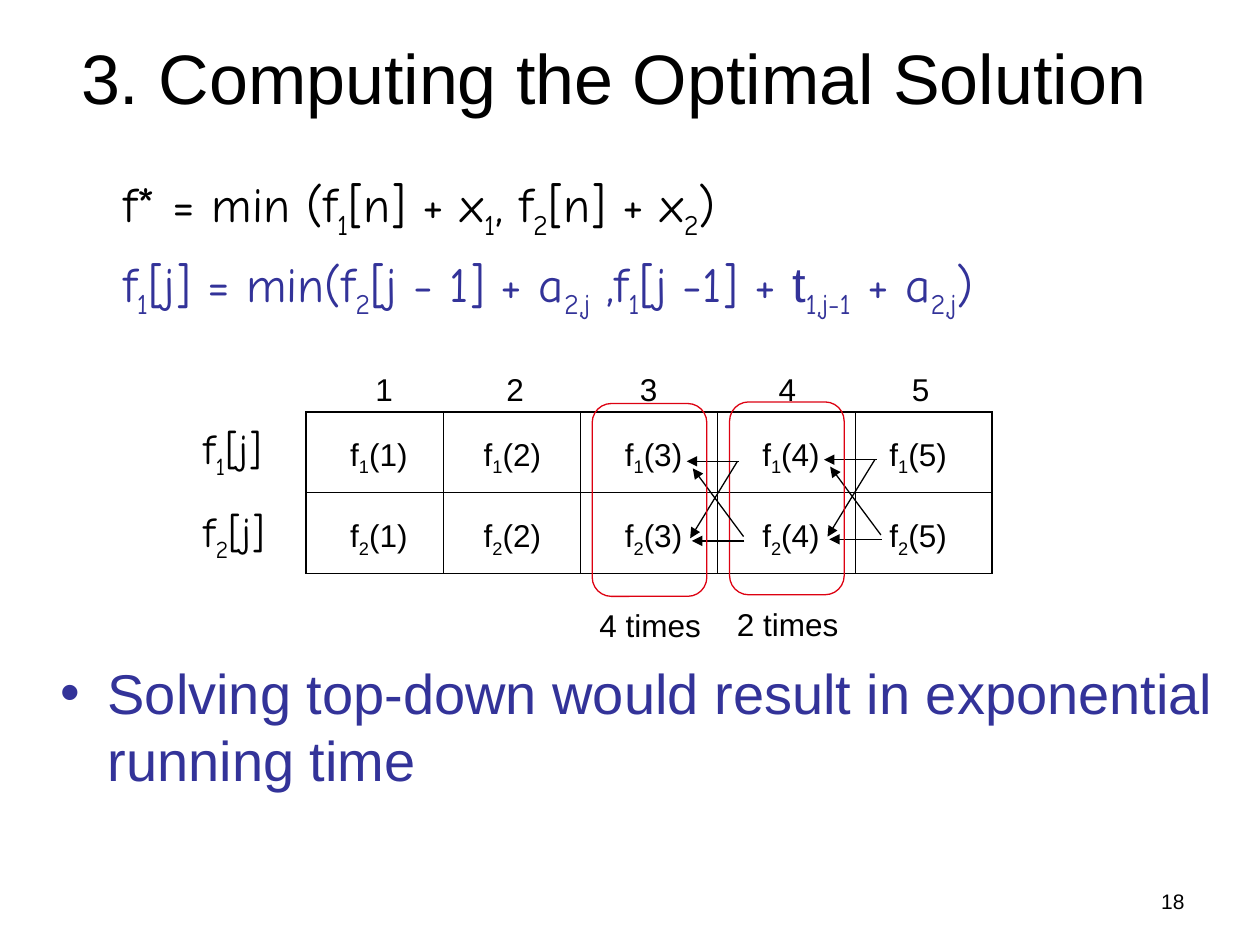
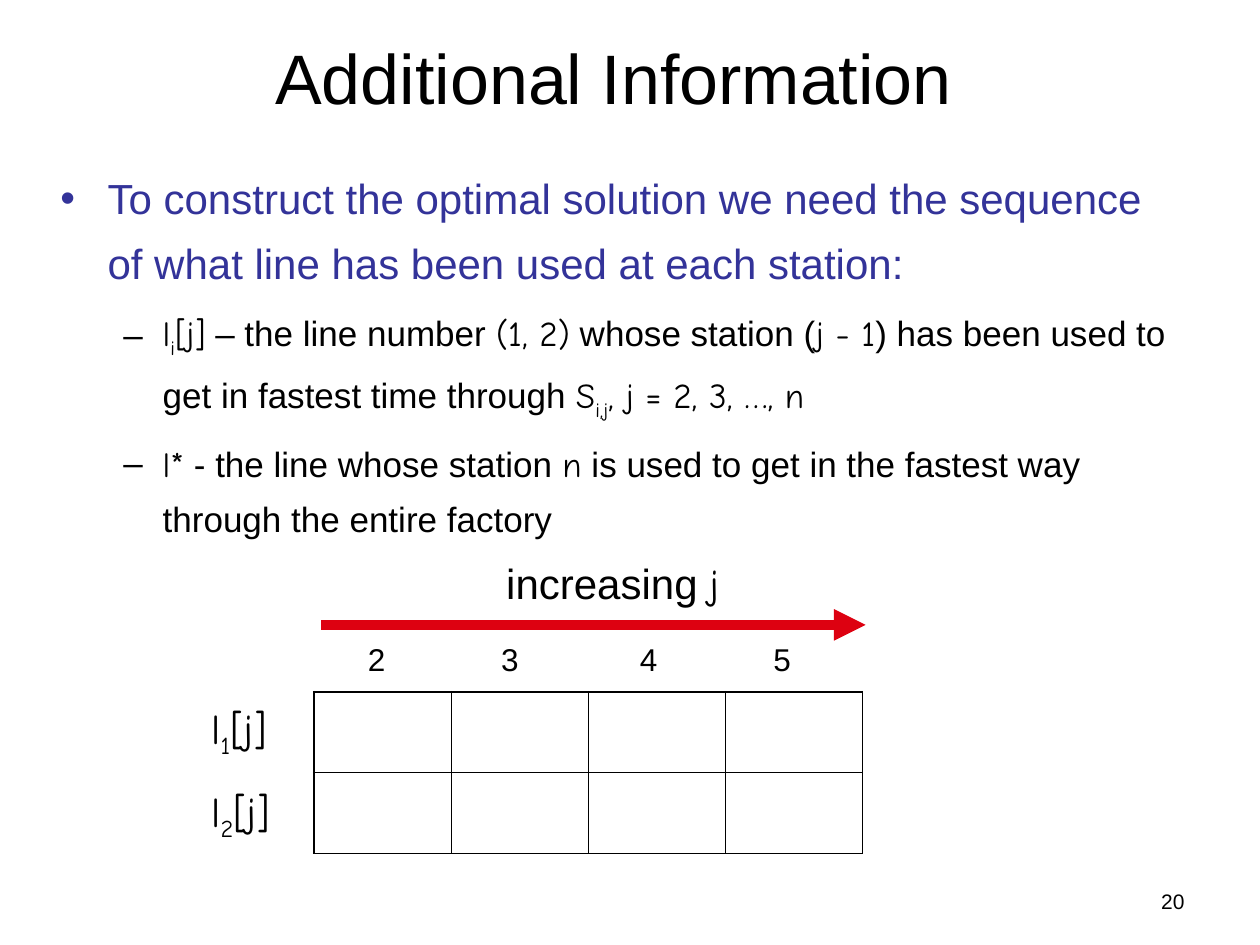
from dataclasses import dataclass

from lxml.etree import SubElement
from pptx import Presentation
from pptx.dml.color import RGBColor
from pptx.enum.shapes import MSO_CONNECTOR, MSO_SHAPE
from pptx.enum.text import MSO_ANCHOR, MSO_AUTO_SIZE, PP_ALIGN
from pptx.oxml.ns import qn
from pptx.util import Pt


@dataclass(frozen=True)
class Theme:
    ink: str = "000000"
    accent: str = "333399"
    highlight: str = "DD0111"
    text_font: str = "Arial"
    math_font: str = "Comic Neue"
    title: int = 40
    statement: int = 32
    formula: int = 28
    lead: int = 24
    detail: int = 20
    label: int = 18
    footer: int = 12
    thin: float = 0.45
    frame: float = 1.08
    arrow: float = 0.75
    thick_arrow: float = 6


THEME = Theme()
TEXT, MATH = THEME.text_font, THEME.math_font
TITLE_BOX = (26.6, 8, 648, 71.3)
NUMBER_BOX = (516.2, 504, 167.8, 25.2)
COLUMN_WIDTH, ROW_HEIGHT = 78.4, 46.2
ROW_LABEL_LEFT, ROW_LABEL_TOP, ROW_LABEL_PITCH = -65.5, 2.5, 47.5
VALUE_OFFSETS = (18, 94.3, 175, 253.5, 326.2)
HIGHLIGHT_SIZE = (65.5, 110.2)
DEPENDENCY_ARROWS = (
    ((84, 33), (54, 33)),
    ((83, 33), (56, 77)),
    ((86.5, 76), (57.5, 37)),
    ((87, 78.5), (57, 78.5)),
)


def points(values):
    return [Pt(value) for value in values]


def colour(code):
    return RGBColor.from_string(code)


def style_font(font, name, size, code):
    font.name = name
    font.size = Pt(size)
    font.color.rgb = colour(code)


def write_runs(paragraph, segments, size, code=THEME.ink):
    """Text between bars in a segment is set as a subscript."""
    for name, marked_text in segments:
        for index, text in enumerate(marked_text.split("|")):
            if not text:
                continue
            run = paragraph.add_run()
            run.text = text
            style_font(run.font, name, size, code)
            if index % 2:
                run._r.get_or_add_rPr().set("baseline", "-25000")


def add_bullet(paragraph, character, code, left, hanging):
    properties = paragraph._p.get_or_add_pPr()
    properties.set("marL", str(Pt(left)))
    properties.set("indent", str(-Pt(hanging)))
    bullet_colour = SubElement(properties, qn("a:buClr"))
    SubElement(bullet_colour, qn("a:srgbClr"), val=code)
    SubElement(properties, qn("a:buFont"), typeface=TEXT)
    SubElement(properties, qn("a:buChar"), char=character)


def add_text_frame(slide, box):
    text_frame = slide.shapes.add_textbox(*points(box)).text_frame
    text_frame.word_wrap = True
    return text_frame


def add_label(slide, box, segments, size):
    write_runs(add_text_frame(slide, box).paragraphs[0], segments, size)


def add_arrow(slide, start, end, code, width):
    connector = slide.shapes.add_connector(
        MSO_CONNECTOR.STRAIGHT, *points(start + end)
    )
    connector.line.color.rgb = colour(code)
    connector.line.width = Pt(width)
    SubElement(connector.line._get_or_add_ln(), qn("a:tailEnd"), type="triangle")
    SubElement(connector._element.spPr, qn("a:effectLst"))


def add_titled_slide(presentation, title_text, number):
    slide = presentation.slides.add_slide(presentation.slide_layouts[5])
    title = slide.shapes.title
    title.left, title.top, title.width, title.height = points(TITLE_BOX)
    text_frame = title.text_frame
    text_frame.text = title_text
    text_frame.auto_size = MSO_AUTO_SIZE.NONE
    text_frame.vertical_anchor = MSO_ANCHOR.MIDDLE
    paragraph = text_frame.paragraphs[0]
    paragraph.alignment = PP_ALIGN.CENTER
    style_font(paragraph.runs[0].font, TEXT, THEME.title, THEME.ink)

    paragraph = add_text_frame(slide, NUMBER_BOX).paragraphs[0]
    paragraph.alignment = PP_ALIGN.RIGHT
    write_runs(paragraph, [(TEXT, str(number))], THEME.footer)
    return slide


def set_borders(cell, widths):
    properties = cell._tc.get_or_add_tcPr()
    for side, width in widths.items():
        line = SubElement(properties, qn(f"a:ln{side}"), w=str(Pt(width)))
        fill = SubElement(line, qn("a:solidFill"))
        SubElement(fill, qn("a:srgbClr"), val=THEME.ink)
    cell.fill.background()


def add_index_table(slide, origin, letter, headings, heading_offsets, heading_rise):
    left, top = origin
    columns, rows = len(headings), 2
    box = (left, top, columns * COLUMN_WIDTH, rows * ROW_HEIGHT)
    table = slide.shapes.add_table(rows, columns, *points(box)).table
    table.first_row = table.horz_banding = False
    for column in table.columns:
        column.width = Pt(COLUMN_WIDTH)
    for row_index, row in enumerate(table.rows):
        row.height = Pt(ROW_HEIGHT)
        for column_index, cell in enumerate(row.cells):
            outer = {
                "L": column_index == 0,
                "R": column_index == columns - 1,
                "T": row_index == 0,
                "B": row_index == rows - 1,
            }
            set_borders(cell, {
                side: THEME.frame if is_outer else THEME.thin
                for side, is_outer in outer.items()
            })
        label_box = (
            left + ROW_LABEL_LEFT,
            top + ROW_LABEL_TOP + row_index * ROW_LABEL_PITCH,
            58, 40.3,
        )
        add_label(slide, label_box, [(MATH, f"{letter}|{row_index + 1}|[j]")], THEME.lead)
    for heading, offset in zip(headings, heading_offsets):
        heading_box = (left + offset, top - heading_rise, 28, 28.8)
        add_label(slide, heading_box, [(TEXT, str(heading))], THEME.label)


def add_values(slide, origin):
    left, top = origin
    for station, offset in enumerate(VALUE_OFFSETS, 1):
        for line in (1, 2):
            box = (left + offset, top + 9.4 + (line - 1) * 46.8, 54, 31.7)
            add_label(slide, box, [(TEXT, f"f|{line}|({station})")], THEME.label)


def add_dependencies(slide, origin, count_text):
    left, top = origin
    for start, end in DEPENDENCY_ARROWS:
        add_arrow(
            slide,
            (left + start[0], top + start[1]),
            (left + end[0], top + end[1]),
            THEME.ink, THEME.arrow,
        )
    outline = slide.shapes.add_shape(
        MSO_SHAPE.ROUNDED_RECTANGLE, *points(origin + HIGHLIGHT_SIZE)
    )
    outline.shadow.inherit = False
    outline.fill.background()
    outline.line.color.rgb = colour(THEME.highlight)
    outline.line.width = Pt(THEME.arrow)
    add_label(slide, (left - 2.9, top + 112.3, 78, 28.8), [(TEXT, count_text)], THEME.label)


def add_formulas(slide, box):
    text_frame = add_text_frame(slide, box)
    write_runs(
        text_frame.paragraphs[0],
        [(MATH, "f* = min (f|1|[n] + x|1|, f|2|[n] + x|2|)")],
        THEME.formula,
    )
    recurrence = text_frame.add_paragraph()
    recurrence.space_before = Pt(7)
    write_runs(recurrence, [
        (MATH, "f|1|[j] = min(f|2|[j - 1] + a|2,j| ,f|1|[j -1] + "),
        (TEXT, "t"),
        (MATH, "|1,j-1| + a|2,j|)"),
    ], THEME.formula, THEME.accent)


def add_statement(slide, box):
    paragraph = add_text_frame(slide, box).paragraphs[0]
    add_bullet(paragraph, "•", THEME.accent, 27, 27)
    write_runs(
        paragraph,
        [(TEXT, "Solving top-down would result in exponential running time")],
        THEME.statement, THEME.accent,
    )


def add_explanation(slide, box):
    text_frame = add_text_frame(slide, box)
    lead = text_frame.paragraphs[0]
    lead.line_spacing = 1.3
    add_bullet(lead, "•", THEME.accent, 27, 27)
    write_runs(lead, [(
        TEXT,
        "To construct the optimal solution we need the sequence "
        "of what line has been used at each station:",
    )], THEME.lead, THEME.accent)
    details = (
        [
            (MATH, "l|i|[j]"),
            (TEXT, " – the line number "),
            (MATH, "(1, 2)"),
            (TEXT, " whose station ("),
            (MATH, "j - 1"),
            (TEXT, ") has been used to get in fastest time through "),
            (MATH, "S|i,j|, j = 2, 3, …, n"),
        ],
        [
            (MATH, "l*"),
            (TEXT, " - the line whose station "),
            (MATH, "n"),
            (TEXT, " is used to get in the fastest way through the entire factory"),
        ],
    )
    for segments in details:
        paragraph = text_frame.add_paragraph()
        paragraph.level = 1
        paragraph.line_spacing = 1.3
        paragraph.space_before = Pt(5)
        add_bullet(paragraph, "–", THEME.ink, 58.5, 22.5)
        write_runs(paragraph, segments, THEME.detail)


def add_direction(slide, origin, length):
    left, top = origin
    add_arrow(slide, origin, (left + length, top), THEME.highlight, THEME.thick_arrow)
    add_label(
        slide, (left + 98.6, top - 41.8, 146, 36),
        [(TEXT, "increasing "), (MATH, "j")], THEME.lead,
    )


def build_solution_slide(presentation):
    slide = add_titled_slide(presentation, "3. Computing the Optimal Solution", 18)
    origin = (175, 235.4)
    add_formulas(slide, (63.4, 95.8, 640, 100))
    add_index_table(slide, origin, "f", range(1, 6), (32.4, 107.3, 183.6, 262.8, 339), 27.4)
    add_values(slide, origin)
    add_dependencies(slide, (416.9, 229.7), "2 times")
    add_dependencies(slide, (338.4, 230.6), "4 times")
    add_statement(slide, (27.4, 372.8, 681, 90))


def build_information_slide(presentation):
    slide = add_titled_slide(presentation, "Additional Information", 20)
    add_explanation(slide, (27.4, 86.4, 648, 235.4))
    add_index_table(slide, (179.3, 395.3), "l", range(2, 6), (23.8, 100, 179.3, 255.6), 33.1)
    add_direction(slide, (183.6, 357.1), 311)


def main():
    presentation = Presentation()
    presentation.slide_width, presentation.slide_height = Pt(720), Pt(540)
    build_solution_slide(presentation)
    build_information_slide(presentation)
    presentation.save("out.pptx")


if __name__ == "__main__":
    main()
